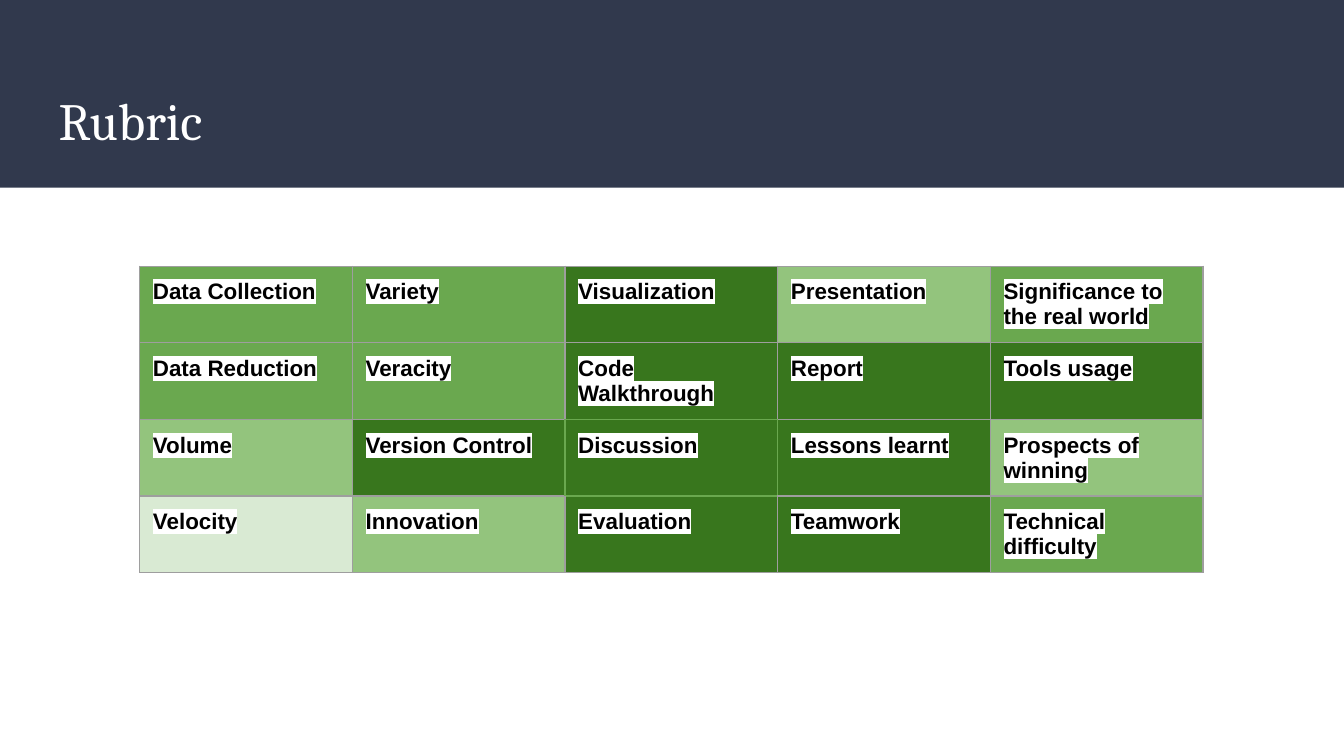
from dataclasses import dataclass

from lxml.etree import SubElement
from pptx import Presentation
from pptx.dml.color import RGBColor
from pptx.enum.shapes import MSO_SHAPE
from pptx.enum.text import MSO_ANCHOR, MSO_AUTO_SIZE, PP_ALIGN
from pptx.oxml.ns import qn
from pptx.slide import Slide
from pptx.table import Table, _Cell as Cell
from pptx.text.text import _Run as Run
from pptx.util import Cm, Pt

COLORS = {
    "navy": "31394D",
    "white": "FFFFFF",
    "black": "000000",
    "grey": "9E9E9E",
    "pale": "D9EAD3",
    "light": "93C47D",
    "medium": "6AA84F",
    "dark": "38761D",
}
INSET = Cm(0.25)
COLUMN_WIDTH = Cm(4.02)
ROW_HEIGHT = Cm(1.07)
BORDER_WIDTH = Pt(0.75)
# Neighbour offset (row, column) on each side, in schema order
SIDES = {"lnL": (0, -1), "lnR": (0, 1), "lnT": (-1, 0), "lnB": (1, 0)}


@dataclass(frozen=True)
class Criterion:
    name: str
    shade: str


RUBRIC = [
    [
        Criterion("Data Collection", "medium"),
        Criterion("Variety", "medium"),
        Criterion("Visualization", "dark"),
        Criterion("Presentation", "light"),
        Criterion("Significance to the real world", "medium"),
    ],
    [
        Criterion("Data Reduction", "medium"),
        Criterion("Veracity", "medium"),
        Criterion("Code Walkthrough", "dark"),
        Criterion("Report", "dark"),
        Criterion("Tools usage", "dark"),
    ],
    [
        Criterion("Volume", "light"),
        Criterion("Version Control", "dark"),
        Criterion("Discussion", "dark"),
        Criterion("Lessons learnt", "dark"),
        Criterion("Prospects of winning", "light"),
    ],
    [
        Criterion("Velocity", "pale"),
        Criterion("Innovation", "light"),
        Criterion("Evaluation", "dark"),
        Criterion("Teamwork", "dark"),
        Criterion("Technical difficulty", "medium"),
    ],
]
GREEN_FRAMED = (2, 2)


def color(name: str) -> RGBColor:
    return RGBColor.from_string(COLORS[name])


def format_run(span: Run, font: str, size: float, color_name: str) -> None:
    span.font.name = font
    span.font.size = Pt(size)
    span.font.color.rgb = color(color_name)


def highlight(span: Run, color_name: str) -> None:
    properties = span.font._element if hasattr(span.font, "_element") else span._r.rPr
    mark = SubElement(properties, qn("a:highlight"))
    SubElement(mark, qn("a:srgbClr"), val=COLORS[color_name])
    properties.find(qn("a:solidFill")).addnext(mark)


def draw_borders(cell: Cell, row: int, column: int) -> None:
    """Draw grey edges, and green ones where the cell meets the framed cell."""
    properties = cell._tc.get_or_add_tcPr()
    for side, (down, across) in SIDES.items():
        touching = {(row, column), (row + down, column + across)}
        edge = "medium" if GREEN_FRAMED in touching else "grey"
        line = SubElement(properties, qn(f"a:{side}"), w=str(BORDER_WIDTH))
        fill = SubElement(line, qn("a:solidFill"))
        SubElement(fill, qn("a:srgbClr"), val=COLORS[edge])


def fill_cell(table: Table, row: int, column: int, criterion: Criterion) -> None:
    cell = table.cell(row, column)
    draw_borders(cell, row, column)
    cell.fill.solid()
    cell.fill.fore_color.rgb = color(criterion.shade)
    cell.margin_left = cell.margin_right = INSET
    cell.margin_top = cell.margin_bottom = INSET
    para = cell.text_frame.paragraphs[0]
    para.text = criterion.name
    span = para.runs[0]
    format_run(span, "Arial", 12, "black")
    span.font.bold = True
    highlight(span, "white")


def add_rubric(page: Slide) -> None:
    rows, columns = len(RUBRIC), len(RUBRIC[0])
    table = page.shapes.add_table(
        rows, columns, Cm(2.64), Cm(5.03), COLUMN_WIDTH * columns, ROW_HEIGHT * rows
    ).table
    table.first_row = False
    table.horz_banding = False
    for row, criteria in enumerate(RUBRIC):
        for column, criterion in enumerate(criteria):
            fill_cell(table, row, column, criterion)


def add_header(page: Slide, width: int) -> None:
    title = page.shapes.title
    title.left, title.top = Cm(0.86), Cm(1.4)
    title.width, title.height = Cm(23.67), Cm(1.73)
    frame = title.text_frame
    frame.text = "Rubric"
    frame.auto_size = MSO_AUTO_SIZE.NONE
    frame.vertical_anchor = MSO_ANCHOR.MIDDLE
    frame.margin_left = frame.margin_right = INSET
    frame.margin_top = frame.margin_bottom = INSET
    para = frame.paragraphs[0]
    para.alignment = PP_ALIGN.LEFT
    format_run(para.runs[0], "Cambria", 28, "white")

    band = page.shapes.add_shape(MSO_SHAPE.RECTANGLE, 0, 0, width, Cm(3.55))
    band.shadow.inherit = False
    band.fill.solid()
    band.fill.fore_color.rgb = color("navy")
    band.line.fill.background()
    title.element.addprevious(band.element)


def main() -> None:
    deck = Presentation()
    deck.slide_width, deck.slide_height = Cm(25.4), Cm(14.29)
    page = deck.slides.add_slide(deck.slide_layouts.get_by_name("Title Only"))
    add_header(page, deck.slide_width)
    add_rubric(page)
    deck.save("out.pptx")


if __name__ == "__main__":
    main()
